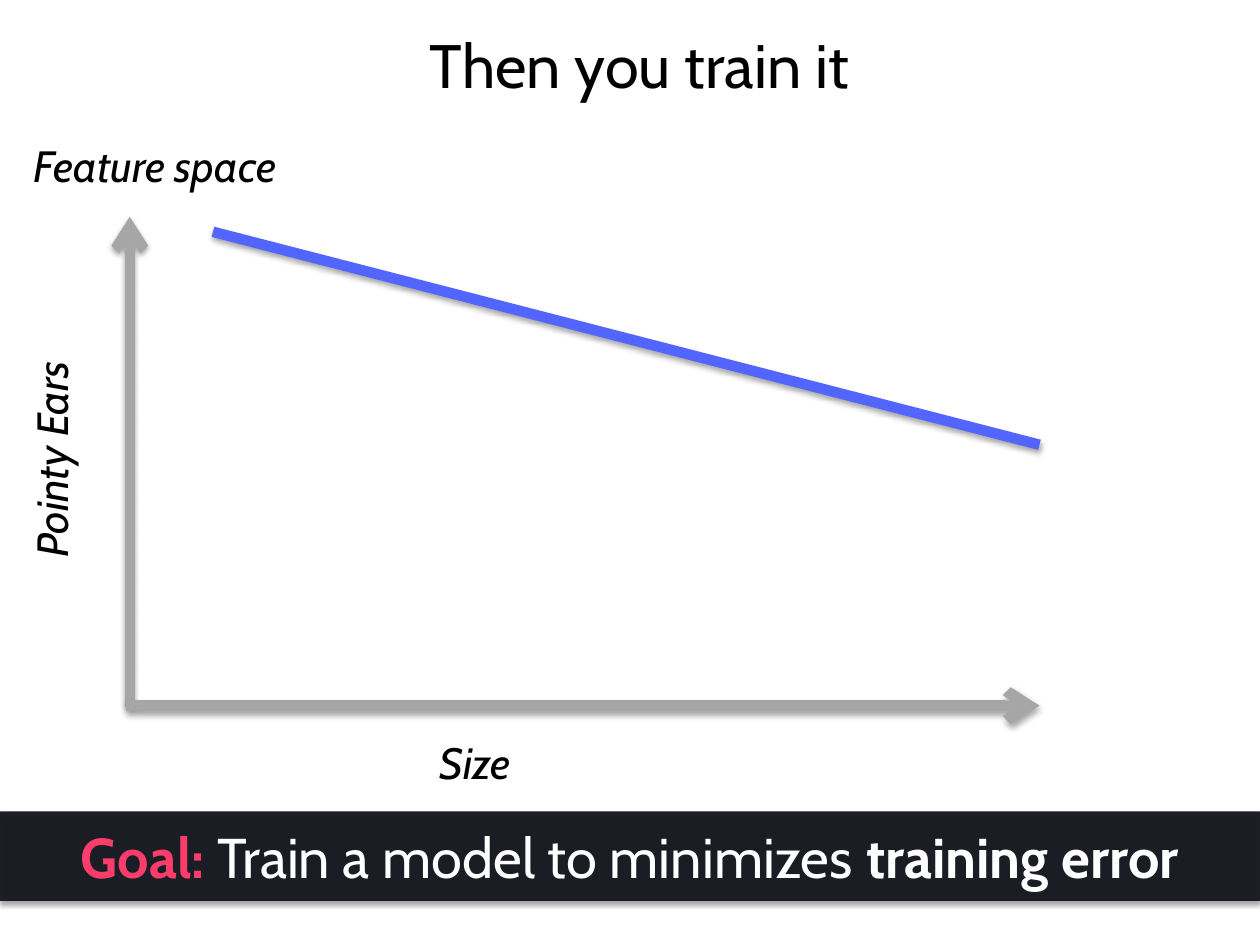
from lxml import etree
from pptx import Presentation
from pptx.dml.color import RGBColor
from pptx.enum.shapes import MSO_CONNECTOR, MSO_SHAPE
from pptx.enum.text import MSO_ANCHOR, MSO_AUTO_SIZE, PP_ALIGN
from pptx.oxml import parse_xml
from pptx.oxml.ns import nsdecls, qn
from pptx.util import Inches, Pt

BLACK = RGBColor(0x00, 0x00, 0x00)
WHITE = RGBColor(0xFF, 0xFF, 0xFF)
GRAY = RGBColor(0xA6, 0xA6, 0xA6)
BLUE = RGBColor(0x52, 0x66, 0xFF)
NAVY = RGBColor(0x16, 0x19, 0x20)
PINK = RGBColor(0xFB, 0x3D, 0x6C)
FONT = "Cabin"


def add_soft_shadow(shape):
    """Append a downward shadow; call after fill and line are set."""
    shape._element.spPr.append(parse_xml(
        f'<a:effectLst {nsdecls("a")}>'
        f'<a:outerShdw blurRad="{Pt(3.1)}" dist="{Pt(1.8)}" dir="5400000" rotWithShape="0">'
        '<a:srgbClr val="000000"><a:alpha val="35000"/></a:srgbClr>'
        '</a:outerShdw></a:effectLst>'))


prs = Presentation()
prs.slide_width, prs.slide_height = Inches(10), Inches(7.5)
slide = prs.slides.add_slide(prs.slide_layouts[6])
shapes = slide.shapes

# Axes and the trained boundary
for x1, y1, x2, y2, color, has_arrow in [
    (1.03, 5.6, 1.03, 1.72, GRAY, True),
    (1, 5.6, 8.25, 5.6, GRAY, True),
    (1.69, 1.84, 8.25, 3.53, BLUE, False),
]:
    line = shapes.add_connector(
        MSO_CONNECTOR.STRAIGHT, Inches(x1), Inches(y1), Inches(x2), Inches(y2))
    line.line.color.rgb = color
    line.line.width = Pt(6)
    if has_arrow:
        etree.SubElement(line.line._get_or_add_ln(), qn("a:tailEnd"), type="arrow")
    add_soft_shadow(line)

# Title and axis labels
for text, left, top, width, height, size, italic, align, rotation in [
    ("Feature space", 0.17, 1.05, 8.32, 0.52, 25, True, PP_ALIGN.LEFT, 0),
    ("Then you train it", 1.18, 0.17, 7.79, 0.69, 35, False, PP_ALIGN.CENTER, 0),
    ("Size", 3.39, 5.79, 3.52, 0.52, 25, True, PP_ALIGN.LEFT, 0),
    ("Pointy Ears", -0.64, 3.21, 2.1, 0.52, 25, True, PP_ALIGN.LEFT, 270),
]:
    label = shapes.add_textbox(Inches(left), Inches(top), Inches(width), Inches(height))
    label.rotation = rotation
    frame = label.text_frame
    frame.word_wrap = True
    frame.auto_size = MSO_AUTO_SIZE.SHAPE_TO_FIT_TEXT
    paragraph = frame.paragraphs[0]
    paragraph.text = text
    paragraph.alignment = align
    font = paragraph.font
    font.name, font.size, font.italic = FONT, Pt(size), italic
    font.color.rgb = BLACK

# Goal banner
banner = shapes.add_shape(
    MSO_SHAPE.RECTANGLE, Inches(0), Inches(6.44), Inches(10), Inches(0.71))
banner.fill.solid()
banner.fill.fore_color.rgb = NAVY
fill_color = banner._element.spPr.find(qn("a:solidFill")).find(qn("a:srgbClr"))
etree.SubElement(fill_color, qn("a:alpha"), val="97000")
banner.line.fill.background()
add_soft_shadow(banner)
banner.text_frame.word_wrap = True
banner.text_frame.vertical_anchor = MSO_ANCHOR.MIDDLE
goal = banner.text_frame.paragraphs[0]
goal.alignment = PP_ALIGN.CENTER
goal.font.name, goal.font.size = FONT, Pt(32)
for text, color, bold in [
    ("Goal: ", PINK, True),
    ("Train a model to minimizes ", WHITE, False),
    ("training error", WHITE, True),
]:
    run = goal.add_run()
    run.text = text
    run.font.bold = bold
    run.font.color.rgb = color

prs.save("out.pptx")
